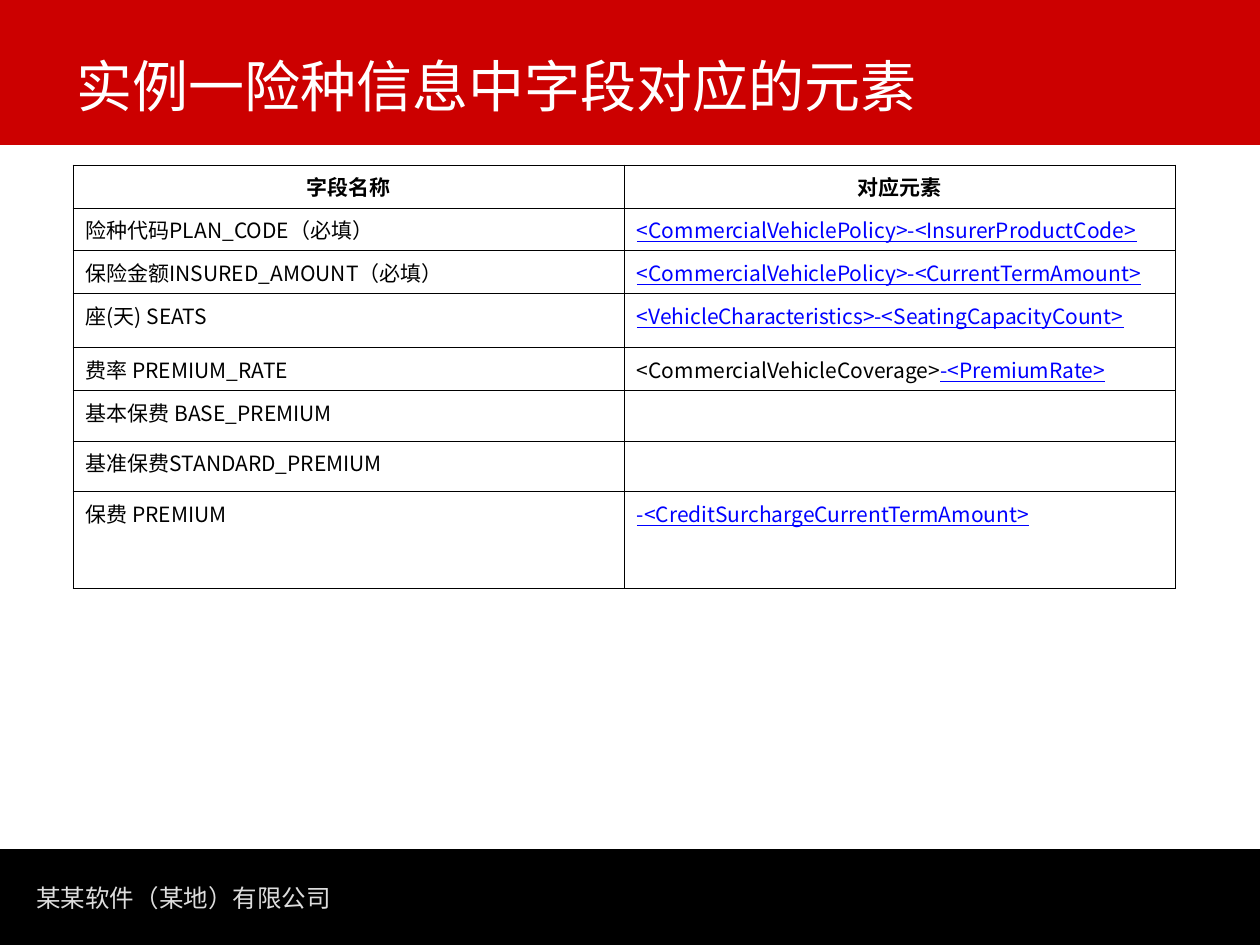
"""Builds the slide that maps insurance plan fields to their XML elements."""

from dataclasses import dataclass

from lxml.etree import SubElement
from pptx import Presentation
from pptx.dml.color import RGBColor
from pptx.enum.shapes import MSO_SHAPE as Shape
from pptx.enum.text import MSO_ANCHOR as Anchor, PP_ALIGN as Align
from pptx.oxml import parse_xml
from pptx.oxml.ns import nsdecls, qn
from pptx.util import Inches, Pt


@dataclass(frozen=True)
class Theme:
    red: str = "CC0000"
    black: str = "000000"
    white: str = "FFFFFF"
    grey: str = "DDDDDD"
    blue: str = "0000FF"
    heading_font: str = "DejaVu Sans"
    table_font: str = "Noto Sans CJK SC"
    title_size: float = 32
    footer_size: float = 14
    table_size: float = 12
    border_width: float = 0.45


@dataclass(frozen=True)
class Box:
    left: float
    top: float
    width: float
    height: float

    def lengths(self) -> tuple:
        return tuple(Inches(n) for n in (self.left, self.top, self.width, self.height))


@dataclass(frozen=True)
class FieldRow:
    field: str
    linked: str = ""
    plain: str = ""
    height: float = 0.34


THEME = Theme()
HEADER = FieldRow("字段名称", plain="对应元素")
FIELDS = [
    FieldRow("险种代码PLAN_CODE（必填）", "<CommercialVehiclePolicy>-<InsurerProductCode>"),
    FieldRow("保险金额INSURED_AMOUNT（必填）", "<CommercialVehiclePolicy>-<CurrentTermAmount>"),
    FieldRow("座(天) SEATS", "<VehicleCharacteristics>-<SeatingCapacityCount>", height=0.43),
    FieldRow("费率 PREMIUM_RATE", "-<PremiumRate>", "<CommercialVehicleCoverage>"),
    FieldRow("基本保费 BASE_PREMIUM", height=0.38),
    FieldRow("基准保费STANDARD_PREMIUM", height=0.38),
    FieldRow("保费 PREMIUM", "-<CreditSurchargeCurrentTermAmount>", height=0.77),
]


def style_run(run, size: float, color: str, font: str, bold=False, underline=False) -> None:
    run.font.size = Pt(size)
    run.font.name = font
    run.font.bold = bold
    run.font.underline = underline
    run.font.color.rgb = RGBColor.from_string(color)
    east_asian = SubElement(run.font._element, qn("a:ea"))
    east_asian.set("typeface", THEME.table_font)


def add_band(slide, box: Box, color: str, outlined: bool = False) -> None:
    band = slide.shapes.add_shape(Shape.RECTANGLE, *box.lengths())
    band.shadow.inherit = False
    band.fill.solid()
    band.fill.fore_color.rgb = RGBColor.from_string(color)
    if outlined:
        band.line.color.rgb = RGBColor.from_string(color)
        band.line.width = Pt(0.75)
    else:
        band.line.fill.background()


def add_label(slide, box: Box, text: str, size: float, color: str,
              anchor=Anchor.TOP, wrap: bool = True) -> None:
    frame = slide.shapes.add_textbox(*box.lengths()).text_frame
    frame.word_wrap = wrap
    frame.vertical_anchor = anchor
    frame.text = text
    style_run(frame.paragraphs[0].runs[0], size, color, THEME.heading_font)


def add_borders(cell) -> None:
    properties = cell._tc.get_or_add_tcPr()
    for place, side in enumerate(("lnL", "lnR", "lnT", "lnB")):
        properties.insert(place, parse_xml(
            f'<a:{side} {nsdecls("a")} w="{Pt(THEME.border_width)}"><a:solidFill>'
            f'<a:srgbClr val="{THEME.black}"/></a:solidFill></a:{side}>'))


def fill_cell(cell, plain: str, linked: str = "", header: bool = False) -> None:
    cell.fill.background()
    add_borders(cell)
    paragraph = cell.text_frame.paragraphs[0]
    paragraph.alignment = Align.CENTER if header else Align.JUSTIFY
    for text, color, underline in ((plain, THEME.black, False), (linked, THEME.blue, True)):
        if text:
            run = paragraph.add_run()
            run.text = text
            style_run(run, THEME.table_size, color, THEME.table_font, header, underline)


def add_field_table(slide, left: float, top: float, width: float) -> None:
    entries = [HEADER, *FIELDS]
    box = Box(left, top, width, sum(entry.height for entry in entries))
    table = slide.shapes.add_table(len(entries), 2, *box.lengths()).table
    table.first_row = False
    table.horz_banding = False
    for column in table.columns:
        column.width = Inches(width / 2)
    for index, entry in enumerate(entries):
        table.rows[index].height = Inches(entry.height)
        is_header = entry is HEADER
        fill_cell(table.cell(index, 0), entry.field, header=is_header)
        fill_cell(table.cell(index, 1), entry.plain, entry.linked, is_header)


def main() -> None:
    deck = Presentation()
    deck.slide_width, deck.slide_height = Inches(10), Inches(7.5)
    slide = deck.slides.add_slide(deck.slide_layouts[6])
    add_band(slide, Box(0, 6.74, 10, 0.76), THEME.black, outlined=True)
    add_band(slide, Box(0, 0, 10, 1.15), THEME.red)
    add_label(slide, Box(0.19, 6.96, 2.54, 0.34), "某某软件（某地）有限公司",
              THEME.footer_size, THEME.grey, wrap=False)
    add_label(slide, Box(0.51, 0.05, 9.21, 0.94), "实例一险种信息中字段对应的元素",
              THEME.title_size, THEME.white, Anchor.BOTTOM)
    add_field_table(slide, 0.58, 1.31, 8.75)
    deck.save("out.pptx")


if __name__ == "__main__":
    main()
